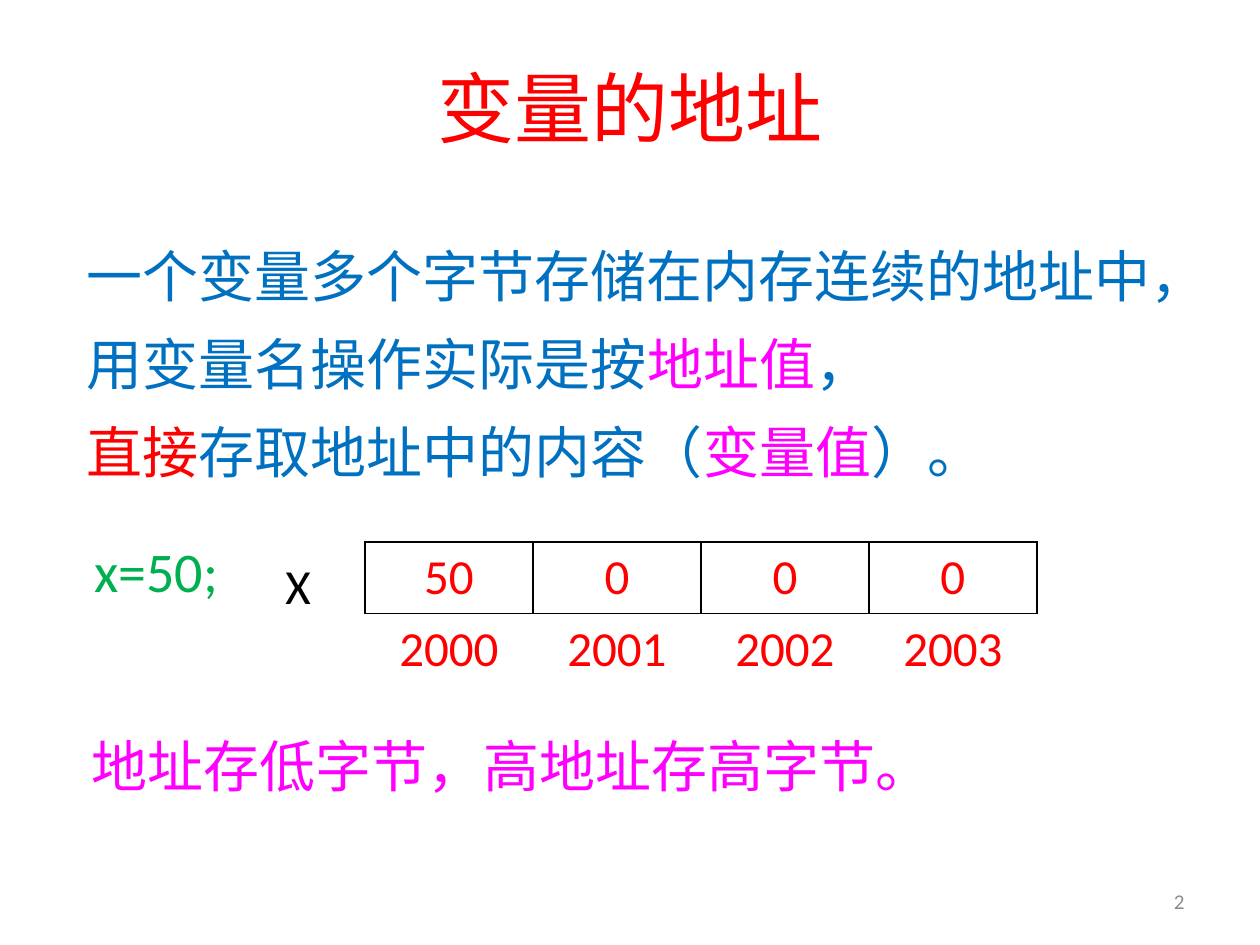
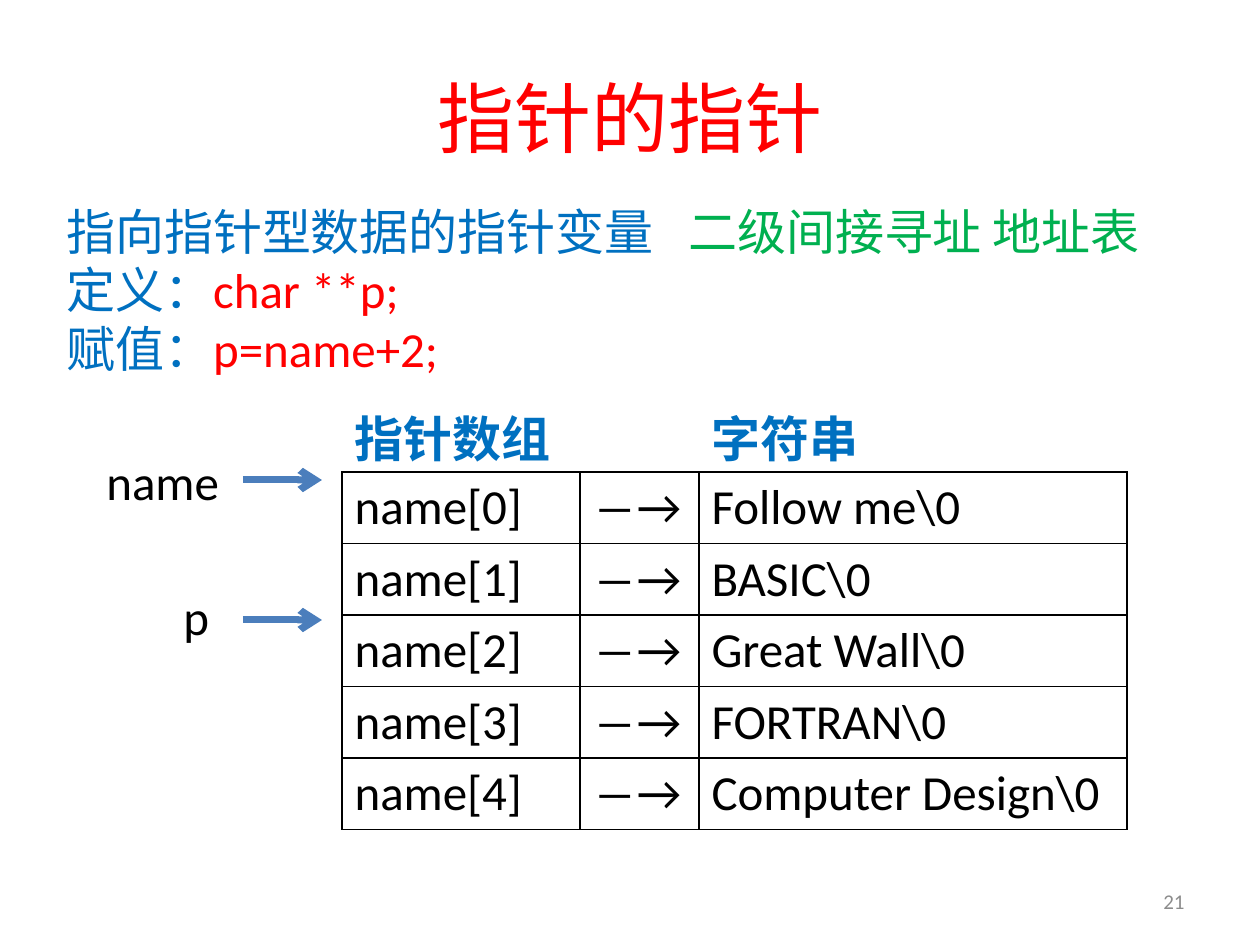
from dataclasses import dataclass

from lxml.etree import SubElement
from pptx import Presentation
from pptx.dml.color import RGBColor
from pptx.enum.shapes import MSO_CONNECTOR as Connector
from pptx.enum.text import MSO_ANCHOR as Anchor, PP_ALIGN as Align
from pptx.oxml import parse_xml
from pptx.oxml.ns import nsdecls, qn
from pptx.util import Pt

PIXEL = 914400 // 126  # one EMU scale for every length


@dataclass(frozen=True)
class Theme:
    """Colours, typefaces and type sizes of the deck."""
    red: str = "FF0000"
    blue: str = "0070C0"
    green: str = "00B050"
    magenta: str = "FF00FF"
    black: str = "000000"
    grey: str = "8C8C8C"
    arrow: str = "4B7EBC"
    latin: str = "Calibri"
    chinese: str = "Noto Sans CJK SC"
    title: int = 44
    large: int = 32
    body: int = 28
    number: int = 12


theme = Theme()


def write(frame, lines, size, align=Align.LEFT, after=0, leading=None, bold=False):
    """Fill a text frame; each line is a list of (text, colour) spans."""
    for index, line in enumerate(lines):
        para = frame.paragraphs[0] if index == 0 else frame.add_paragraph()
        para.alignment = align
        para.space_after = Pt(after)
        para.font.size, para.font.bold = Pt(size), bold
        if leading:
            para.line_spacing = Pt(leading * size)
        for text, colour in line:
            span = para.add_run()
            span.text = text
            span.font.size, span.font.bold = Pt(size), bold
            span.font.color.rgb = RGBColor.from_string(colour)
            span.font.name = theme.latin if text.isascii() or "→" in text else theme.chinese
            SubElement(span.font._element, qn("a:ea"), typeface=theme.chinese)


def add_text(page, place, lines, size, anchor=Anchor.TOP, **style):
    """Add a text box at a pixel place (left, top, width, height)."""
    box = page.shapes.add_textbox(*(v * PIXEL for v in place))
    frame = box.text_frame
    frame.word_wrap = True
    frame.vertical_anchor = anchor
    if "align" not in style:
        frame.margin_right = 0
    write(frame, lines, size, **style)
    return box


deck = Presentation()
deck.slide_width, deck.slide_height = 1260 * PIXEL, 945 * PIXEL

# Shared title and slide number
pages = []
for title, top, number in (("变量的地址", 28, "2"), ("指针的指针", 38, "21")):
    page = deck.slides.add_slide(deck.slide_layouts[6])
    add_text(page, (63, top, 1134, 157), [[(title, theme.red)]], theme.title,
             anchor=Anchor.MIDDLE, align=Align.CENTER)
    add_text(page, (903, 876, 294, 50), [[(number, theme.grey)]], theme.number,
             anchor=Anchor.MIDDLE, align=Align.RIGHT)
    pages.append(page)
address_page, pointer_page = pages

# Text about the address of a variable
add_text(address_page, (74, 235, 1132, 258), [
    [("一个变量多个字节存储在内存连续的地址中，", theme.blue)],
    [("用变量名操作实际是按", theme.blue), ("地址值", theme.magenta), ("，", theme.blue)],
    [("直接", theme.red), ("存取地址中的内容（", theme.blue),
     ("变量值", theme.magenta), ("）。", theme.blue)],
], theme.large, after=12, leading=1.2)
add_text(address_page, (273, 549, 62, 72), [[("X", theme.black)]], theme.body)
add_text(address_page, (82, 530, 151, 81), [[("x=50;", theme.green)]], theme.large)
add_text(address_page, (79, 725, 839, 81),
         [[("地址存低字节，高地址存高字节。", theme.magenta)]], theme.large, leading=1.2)

# Text about a pointer to a pointer; a tab stop sets off the green remark
definition = add_text(pointer_page, (54, 195, 1163, 190), [
    [("指向指针型数据的指针变量", theme.blue), ("\t二级间接寻址 地址表", theme.green)],
    [("定义：", theme.blue), ("char **p;", theme.red)],
    [("赋值：", theme.blue), ("p=name+2;", theme.red)],
], theme.body, leading=1.2)
properties = definition.text_frame.paragraphs[0]._p.get_or_add_pPr()
stops = SubElement(properties, qn("a:tabLst"))
SubElement(stops, qn("a:tab"), pos=str(622 * PIXEL), algn="l")
default_font = properties.find(qn("a:defRPr"))
if default_font is not None:
    default_font.addprevious(stops)

# Tables: one row of labels stands outside the ruled grid
strings = ["Follow me", "BASIC", "Great Wall", "FORTRAN", "Computer Design"]
memory_rows = [["50", "0", "0", "0"], [str(2000 + i) for i in range(4)]]
pointer_rows = [["指针数组", "", "字符串"]]
pointer_rows += [[f"name[{i}]", "―→", text + "\\0"] for i, text in enumerate(strings)]
tables = [
    (address_page, (365, 542), [168] * 4, memory_rows, 1, "T", theme.red, Align.CENTER),
    (pointer_page, (342, 401), [238, 119, 428], pointer_rows, 0, "B", theme.black, Align.LEFT),
]
ROW = 71
for page, (left, top), widths, rows, label_row, label_edge, colour, align in tables:
    table = page.shapes.add_table(
        len(rows), len(widths), left * PIXEL, top * PIXEL,
        sum(widths) * PIXEL, ROW * len(rows) * PIXEL).table
    table.first_row = table.horz_banding = False
    for column, width in zip(table.columns, widths):
        column.width = width * PIXEL
    for r, row in enumerate(rows):
        table.rows[r].height = ROW * PIXEL
        for c, text in enumerate(row):
            cell = table.cell(r, c)
            for edge in "LRTB":
                ruled = r != label_row or edge == label_edge
                paint = (f'<a:solidFill><a:srgbClr val="{theme.black}"/></a:solidFill>'
                         if ruled else "<a:noFill/>")
                cell._tc.get_or_add_tcPr().append(parse_xml(
                    f'<a:ln{edge} {nsdecls("a")} w="12700">{paint}</a:ln{edge}>'))
            cell.fill.background()
            heading = page is pointer_page and r == label_row
            if heading:
                cell.margin_top, cell.margin_bottom = 12 * PIXEL, 0
            if text:
                write(cell.text_frame, [[(text, theme.blue if heading else colour)]],
                      theme.body, align=align, bold=heading,
                      leading=1.2 if heading else None)

# Pointers beside the table
for name, left, top, width, arrow_y in (("name", 94, 445, 139, 480), ("p", 171, 580, 52, 620)):
    add_text(pointer_page, (left, top, width, 72), [[(name, theme.black)]], theme.body)
    arrow = pointer_page.shapes.add_connector(
        Connector.STRAIGHT, 243 * PIXEL, arrow_y * PIXEL, 322 * PIXEL, arrow_y * PIXEL)
    arrow.line.color.rgb = RGBColor.from_string(theme.arrow)
    arrow.line.width = Pt(4)
    SubElement(arrow.line._get_or_add_ln(), qn("a:tailEnd"), type="arrow")
    SubElement(arrow._element.spPr, qn("a:effectLst"))

deck.save("out.pptx")
